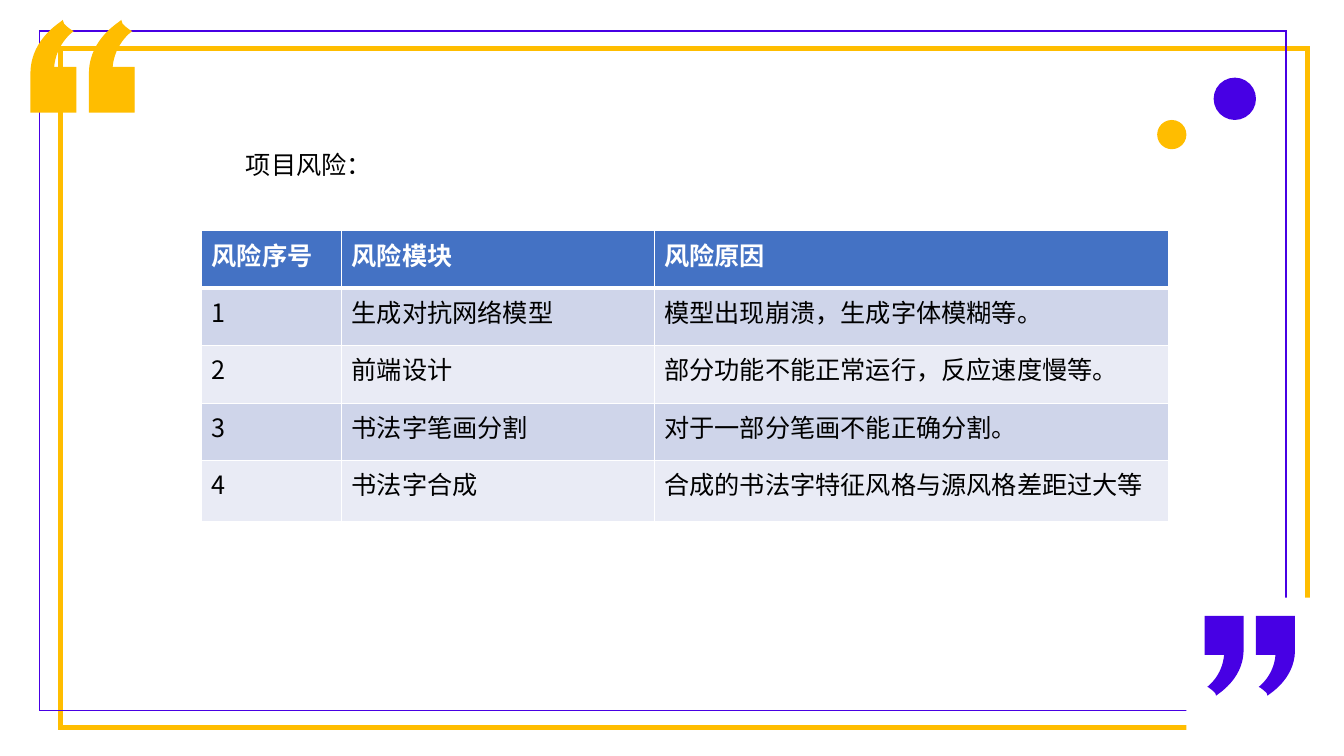
import dataclasses
import typing

import lxml.etree
import pptx
import pptx.dml.color
import pptx.enum.shapes
import pptx.enum.text
import pptx.oxml.ns
import pptx.util

Inches = pptx.util.Inches
Preset = pptx.enum.shapes.MSO_SHAPE
Point = tuple[float, float]

FONT = "Noto Sans CJK SC"
COLORS = {
    "yellow": "FFBD00",
    "violet": "4700E4",
    "white": "FFFFFF",
    "black": "000000",
    "header": "4472C4",
    "odd": "CFD5EA",
    "even": "E9EBF5",
}


@dataclasses.dataclass(frozen=True)
class Figure:
    preset: Preset
    left: float
    top: float
    width: float
    height: float
    fill: str | None = None
    line: str | None = None
    line_width: float = 1


@dataclasses.dataclass(frozen=True)
class Quote:
    left: float
    top: float
    color: str
    scale: float = 1
    rotation: float = 0
    line: str | None = None


FRAMES = [
    Figure(Preset.RECTANGLE, 0.6, 0.48, 12.37, 6.74, line="yellow", line_width=3.25),
    Figure(Preset.RECTANGLE, 0.39, 0.31, 12.37, 6.74, line="violet"),
    Figure(Preset.RECTANGLE, 11.77, 5.93, 1.34, 1.45, fill="white"),
]
DOTS = [
    Figure(Preset.OVAL, 11.48, 1.19, 0.29, 0.29, fill="yellow"),
    Figure(Preset.OVAL, 12.04, 0.77, 0.42, 0.42, fill="violet"),
]
QUOTES = [
    Quote(0.31, 0.21, "yellow", line="yellow"),
    Quote(0.89, 0.21, "yellow", line="yellow"),
    Quote(12.46, 6.11, "violet", scale=0.88, rotation=180),
    Quote(11.95, 6.11, "violet", scale=0.88, rotation=180),
]
# Each step holds one point for a straight line or three for a Bezier curve.
QUOTE_START: Point = (0.31, 0)
QUOTE_STEPS: list[list[Point]] = [
    [(0.32, 0.03)],
    [(0.34, 0.05), (0.36, 0.07), (0.39, 0.09)],
    [(0.41, 0.1)],
    [(0.41, 0.1), (0.24, 0.22), (0.22, 0.46)],
    [(0.44, 0.46)],
    [(0.44, 0.9)],
    [(0, 0.9)],
    [(0, 0.5)],
    [(0.01, 0.17), (0.31, 0.01), QUOTE_START],
]

RISKS = [
    ("风险序号", "风险模块", "风险原因"),
    ("1", "生成对抗网络模型", "模型出现崩溃，生成字体模糊等。"),
    ("2", "前端设计", "部分功能不能正常运行，反应速度慢等。"),
    ("3", "书法字笔画分割", "对于一部分笔画不能正确分割。"),
    ("4", "书法字合成", "合成的书法字特征风格与源风格差距过大等"),
]
COLUMN_WIDTHS = [1.39, 3.1, 5.1]
ROW_HEIGHTS = [0.57, 0.57, 0.57, 0.57, 0.61]


def rgb(name: str) -> pptx.dml.color.RGBColor:
    return pptx.dml.color.RGBColor.from_string(COLORS[name])


def add_element(parent: typing.Any, tag: str, **attributes: str) -> typing.Any:
    return lxml.etree.SubElement(parent, pptx.oxml.ns.qn(tag), attributes)


def paint(shape: typing.Any, fill: str | None, line: str | None, line_width: float = 1) -> None:
    shape.shadow.inherit = False
    if fill:
        shape.fill.solid()
        shape.fill.fore_color.rgb = rgb(fill)
    else:
        shape.fill.background()
    if line:
        shape.line.color.rgb = rgb(line)
        shape.line.width = pptx.util.Pt(line_width)
        outline = shape._element.spPr.find(pptx.oxml.ns.qn("a:ln"))
        add_element(outline, "a:miter", lim="800000")
    else:
        shape.line.fill.background()


def draw_figure(page: typing.Any, figure: Figure) -> None:
    place = [Inches(n) for n in (figure.left, figure.top, figure.width, figure.height)]
    shape = page.shapes.add_shape(figure.preset, *place)
    paint(shape, figure.fill, figure.line, figure.line_width)


def bend(segment: typing.Any, points: list[Point], scale: float) -> None:
    """Turn a straight segment of an outline into a Bezier curve."""
    curve = lxml.etree.Element(pptx.oxml.ns.qn("a:cubicBezTo"))
    for x, y in points:
        add_element(curve, "a:pt", x=str(Inches(x * scale)), y=str(Inches(y * scale)))
    segment.getparent().replace(segment, curve)


def draw_quote(page: typing.Any, quote: Quote) -> None:
    ends = [QUOTE_START] + [step[-1] for step in QUOTE_STEPS]
    points = [(Inches(quote.left + x * quote.scale), Inches(quote.top + y * quote.scale)) for x, y in ends]
    builder = page.shapes.build_freeform(*points[0])
    builder.add_line_segments(points[1:], close=True)
    shape = builder.convert_to_shape()
    segments = list(shape._element.iter(pptx.oxml.ns.qn("a:lnTo")))
    for segment, step in zip(segments, QUOTE_STEPS):
        if len(step) == 3:
            bend(segment, step, quote.scale)
    shape.rotation = quote.rotation
    paint(shape, quote.color, quote.line)


def write(frame: typing.Any, text: str, *, color: str = "black", bold: bool = False, size: float = 18) -> None:
    span = frame.paragraphs[0].add_run()
    span.text = text
    span.font.size = pptx.util.Pt(size)
    span.font.bold = bold
    span.font.name = FONT
    span.font.color.rgb = rgb(color)
    add_element(span.font._element, "a:ea", typeface=FONT)


def add_borders(cell: typing.Any, widths: dict[str, float]) -> None:
    properties = cell._tc.get_or_add_tcPr()
    for side, width in widths.items():
        line = add_element(properties, f"a:ln{side}", w=str(pptx.util.Pt(width)))
        add_element(add_element(line, "a:solidFill"), "a:srgbClr", val=COLORS["white"])


def draw_risk_table(page: typing.Any) -> None:
    size = Inches(sum(COLUMN_WIDTHS)), Inches(sum(ROW_HEIGHTS))
    table = page.shapes.add_table(len(RISKS), len(COLUMN_WIDTHS), Inches(2), Inches(2.29), *size).table
    for column, width in zip(table.columns, COLUMN_WIDTHS):
        column.width = Inches(width)
    for index, (row, height, texts) in enumerate(zip(table.rows, ROW_HEIGHTS, RISKS)):
        row.height = Inches(height)
        header = index == 0
        background = "header" if header else "odd" if index % 2 else "even"
        borders = {"L": 1, "R": 1, "T": 3 if index == 1 else 1, "B": 3 if header else 1}
        for cell, text in zip(row.cells, texts):
            add_borders(cell, borders)
            cell.fill.solid()
            cell.fill.fore_color.rgb = rgb(background)
            write(cell.text_frame, text, color="white" if header else "black", bold=header)


def draw_heading(page: typing.Any) -> None:
    box = page.shapes.add_textbox(Inches(2.34), Inches(1.43), Inches(1.45), Inches(0.4))
    box.text_frame.word_wrap = False
    box.text_frame.auto_size = pptx.enum.text.MSO_AUTO_SIZE.SHAPE_TO_FIT_TEXT
    write(box.text_frame, "项目风险：")


def main() -> None:
    deck = pptx.Presentation()
    deck.slide_width, deck.slide_height = Inches(40 / 3), Inches(7.5)
    page = deck.slides.add_slide(deck.slide_layouts[6])
    for frame in FRAMES:
        draw_figure(page, frame)
    for quote in QUOTES:
        draw_quote(page, quote)
    for dot in DOTS:
        draw_figure(page, dot)
    draw_risk_table(page)
    draw_heading(page)
    deck.save("out.pptx")


if __name__ == "__main__":
    main()
